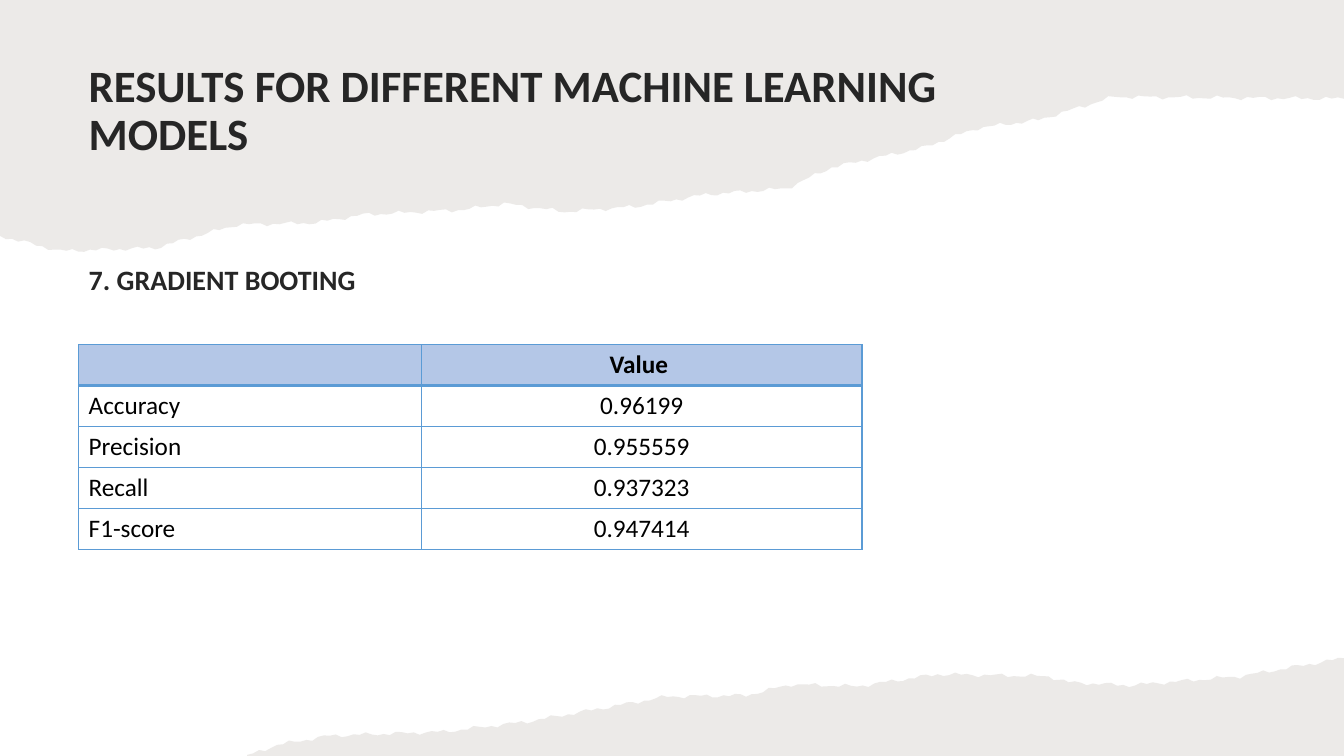
import math
from itertools import pairwise

from lxml import etree
from pptx import Presentation
from pptx import util as u
from pptx.dml.color import RGBColor
from pptx.enum import text as tx
from pptx.oxml import ns

# Content
TITLE = "RESULTS FOR DIFFERENT MACHINE LEARNING MODELS"
MODEL = "7. GRADIENT BOOTING"
ROWS = [
    ("", "Value "),
    ("Accuracy", "0.96199"),
    ("Precision", "0.955559"),
    ("Recall", "0.937323"),
    ("F1-score", "0.947414"),
]

# Look
FONT, INK, BLACK = "Calibri", "262626", "000000"
PAPER, HEAD, RULE = "82766A", "B4C7E7", "5B9BD5"
ALPHA = 15  # percent

# Layout, in inches
WIDE, HIGH = 13.33, 7.5
LEFT = 0.78
TITLE_BOX = (LEFT, 0.46, 9.73, 1.3)
MODEL_BOX = (LEFT, 2.51, 9.05, 0.87)
TABLE_TOP, TABLE_HIGH = 3.42, 2.02
COLS = (3.4, 4.37)

# Bends of each torn edge from left to right; the fibres between are computed
UPPER = [
    (0, 2.34), (0.6, 2.49), (1.54, 2.46), (2.35, 2.23), (3.13, 2.21),
    (3.6, 2.13), (4.6, 2.08), (5, 2.02), (5.6, 2.1), (6.3, 2.05),
    (7, 1.93), (7.8, 1.87), (8.25, 1.66), (9.14, 1.47), (9.7, 1.27),
    (10.3, 1.19), (11.05, 0.96), (WIDE, 0.98),
]
LOWER = [
    (2.45, HIGH), (2.75, 7.39), (3.27, 7.3), (4.4, 7.26), (5.23, 7.16),
    (6.62, 6.91), (7.4, 6.9), (7.85, 6.79), (8.5, 6.81), (9.3, 6.69),
    (10.4, 6.71), (10.6, 6.77), (11.2, 6.8), (12.3, 6.71), (WIDE, 6.53),
]
STEP, ROUGH = 0.06, 0.012  # spacing and height of the fibres
UNITS = 1000  # drawing units per inch


def rgb(code):
    return RGBColor.from_string(code)


def sub(parent, tag, **attrs):
    return etree.SubElement(parent, ns.qn(tag), attrs)


def style(par, size, color, bold):
    font = par.font
    font.name, font.size, font.bold = FONT, u.Pt(size), bold
    font.color.rgb = rgb(color)


def rip(bends):
    """Join the bends by short steps, each moved by two uneven waves."""
    edge = []
    for (x0, y0), (x1, y1) in pairwise(bends):
        count = math.ceil((x1 - x0) / STEP)
        for i in range(count):
            x = x0 + (x1 - x0) * i / count
            y = y0 + (y1 - y0) * i / count
            wave = math.sin(17 * x) + math.sin(41 * x)
            edge.append((x, y + ROUGH * wave))
    return edge + [bends[-1]]


def tear(bends, side):
    """Draw a pale sheet from a torn edge to the slide's side at y = side."""
    ends = [(bends[-1][0], side), (bends[0][0], side)]
    dots = [(x * UNITS, y * UNITS) for x, y in rip(bends) + ends]
    pen = slide.shapes.build_freeform(*dots[0], scale=u.Inches(1) / UNITS)
    pen.add_line_segments(dots[1:], close=True)
    sheet = pen.convert_to_shape()
    sheet.shadow.inherit = False
    sheet.line.fill.background()
    sheet.fill.solid()
    sheet.fill.fore_color.rgb = rgb(PAPER)
    tint = sheet.element.spPr.find(".//" + ns.qn("a:srgbClr"))
    sub(tint, "a:alpha", val=str(ALPHA * 1000))
    # Send the sheet behind the text
    tree = sheet.element.getparent()
    tree.remove(sheet.element)
    tree.insert(2, sheet.element)


def write(holder, words, box, size, anchor):
    holder.left, holder.top, holder.width, holder.height = map(u.Inches, box)
    frame = holder.text_frame
    frame.text = words
    frame.word_wrap = True
    frame.auto_size = tx.MSO_AUTO_SIZE.NONE
    frame.vertical_anchor = anchor
    par = frame.paragraphs[0]
    par.alignment = tx.PP_ALIGN.LEFT
    par.line_spacing, par.space_before = 0.9, u.Pt(0)
    style(par, size, INK, True)
    return frame


def unlist(par):
    """Remove the bullet and its indent."""
    props = par._p.get_or_add_pPr()
    props.set("marL", "0")
    props.set("indent", "0")
    sub(props, "a:buNone")


def frame_cell(cell, head):
    props = cell._tc.get_or_add_tcPr()
    for side in "LRTB":
        width = 2 if head and side == "B" else 1
        line = sub(props, "a:ln" + side, w=str(u.Pt(width)))
        sub(sub(line, "a:solidFill"), "a:srgbClr", val=RULE)


def fill_cell(cell, words, head, align):
    cell.text = words
    par = cell.text_frame.paragraphs[0]
    par.alignment = align
    style(par, 18, BLACK, head)
    frame_cell(cell, head)
    if head:
        cell.fill.solid()
        cell.fill.fore_color.rgb = rgb(HEAD)
    else:
        cell.fill.background()


deck = Presentation()
deck.slide_width, deck.slide_height = u.Inches(WIDE), u.Inches(HIGH)
slide = deck.slides.add_slide(deck.slide_layouts[1])

# Torn paper
tear(UPPER, 0)
tear(LOWER, HIGH)

# Title and model name
write(slide.shapes.title, TITLE, TITLE_BOX, 32, tx.MSO_ANCHOR.MIDDLE)
body = write(slide.placeholders[1], MODEL, MODEL_BOX, 20, tx.MSO_ANCHOR.TOP)
body.margin_top = u.Inches(0.13)
unlist(body.paragraphs[0])

# Score table
grid = slide.shapes.add_table(
    len(ROWS), len(COLS), u.Inches(LEFT), u.Inches(TABLE_TOP),
    u.Inches(sum(COLS)), u.Inches(TABLE_HIGH)).table
for col, width in zip(grid.columns, COLS):
    col.width = u.Inches(width)
aligns = (tx.PP_ALIGN.LEFT, tx.PP_ALIGN.CENTER)
for r, row in enumerate(ROWS):
    for c, words in enumerate(row):
        fill_cell(grid.cell(r, c), words, r == 0, aligns[c])

deck.save("out.pptx")
